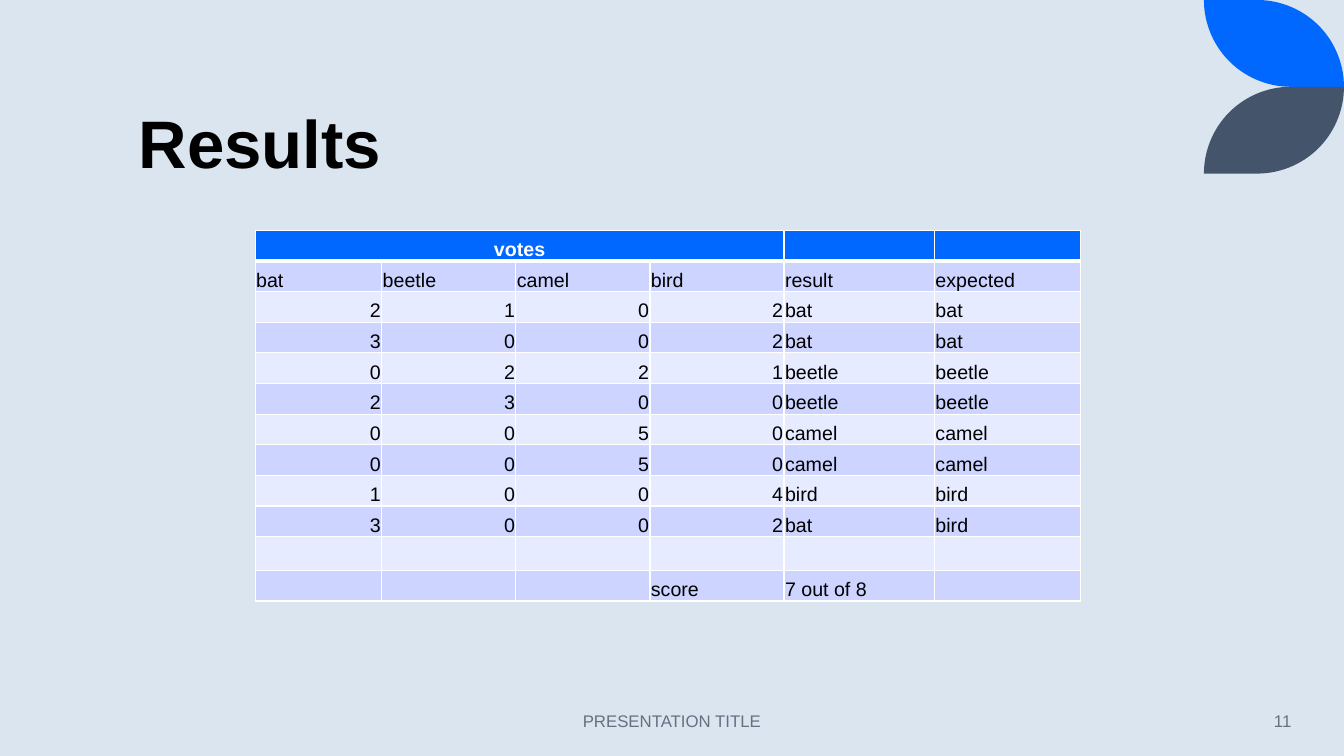
"""Build the Results slide with its table of votes."""
import math

import pptx
import pptx.dml.color
import pptx.enum.text
import pptx.oxml
import pptx.oxml.ns
import pptx.util

Pt = pptx.util.Pt
RGBColor = pptx.dml.color.RGBColor
Align = pptx.enum.text.PP_ALIGN
Anchor = pptx.enum.text.MSO_ANCHOR

BACKGROUND = RGBColor(0xDA, 0xE5, 0xEF)
BLUE = RGBColor(0x00, 0x68, 0xFF)
SLATE = RGBColor(0x44, 0x54, 0x6A)
GREY = RGBColor(0x63, 0x71, 0x83)
BLACK = RGBColor(0x00, 0x00, 0x00)
WHITE = RGBColor(0xFF, 0xFF, 0xFF)
DARK_BAND = RGBColor(0xCC, 0xD4, 0xFF)
LIGHT_BAND = RGBColor(0xE7, 0xEB, 0xFF)

COLUMN_WIDTHS = [90.4, 95.8, 95.8, 95.8, 107.5, 104.4]
ROW_HEIGHTS = [21.9] * 10 + [24.1, 21.9]
ROWS = [
    ["votes", "", "", "", "", ""],
    ["bat", "beetle", "camel", "bird", "result", "expected"],
    [2, 1, 0, 2, "bat", "bat"],
    [3, 0, 0, 2, "bat", "bat"],
    [0, 2, 2, 1, "beetle", "beetle"],
    [2, 3, 0, 0, "beetle", "beetle"],
    [0, 0, 5, 0, "camel", "camel"],
    [0, 0, 5, 0, "camel", "camel"],
    [1, 0, 0, 4, "bird", "bird"],
    [3, 0, 0, 2, "bat", "bird"],
    ["", "", "", "", "", ""],
    ["", "", "", "score", "7 out of 8", ""],
]


class SlideBuilder:
    """Hold the font and the current slide, and add elements to it."""

    def __init__(self, slide, font_name):
        self.slide = slide
        self.font_name = font_name

    def style(self, paragraph, size, color, bold=False, align=Align.LEFT):
        paragraph.alignment = align
        paragraph.font.name = self.font_name
        paragraph.font.size = Pt(size)
        paragraph.font.bold = bold
        paragraph.font.color.rgb = color

    def text(self, box, text, size, color, anchor, **paragraph_style):
        shape = self.slide.shapes.add_textbox(*map(Pt, box))
        frame = shape.text_frame
        frame.word_wrap = True
        frame.vertical_anchor = anchor
        paragraph = frame.paragraphs[0]
        paragraph.text = text
        self.style(paragraph, size, color, **paragraph_style)
        return paragraph

    def leaf(self, left, right, tip_y, height, color):
        radius = abs(height)
        angles = [math.radians(90 * step / 30) for step in range(31)]
        outer = [(right - radius + radius * math.sin(angle),
                  tip_y + height * (1 - math.cos(angle))) for angle in angles]
        inner = [(left + radius - radius * math.sin(angle),
                  tip_y + height * math.cos(angle)) for angle in angles]
        builder = self.slide.shapes.build_freeform(Pt(left), Pt(tip_y))
        builder.add_line_segments([(Pt(x), Pt(y)) for x, y in outer + inner])
        shape = builder.convert_to_shape()
        shape.shadow.inherit = False
        shape.fill.solid()
        shape.fill.fore_color.rgb = color
        shape.line.fill.background()

    def borders(self, cell, top, bottom):
        properties = cell._tc.get_or_add_tcPr()
        for side, width in (("L", 1), ("R", 1), ("T", top), ("B", bottom)):
            properties.append(pptx.oxml.parse_xml(
                f'<a:ln{side} {pptx.oxml.ns.nsdecls("a")} w="{Pt(width)}">'
                f'<a:solidFill><a:srgbClr val="{WHITE}"/></a:solidFill>'
                f'</a:ln{side}>'))

    def cell(self, cell, value, fill, color, bold, align):
        cell.margin_left = cell.margin_right = cell.margin_top = Pt(0.7)
        cell.margin_bottom = Pt(0)
        cell.vertical_anchor = Anchor.BOTTOM
        cell.fill.solid()
        cell.fill.fore_color.rgb = fill
        paragraph = cell.text_frame.paragraphs[0]
        paragraph.text = str(value)
        self.style(paragraph, 14, color, bold, align)

    def table(self, left, top, widths, heights, rows):
        table = self.slide.shapes.add_table(
            len(rows), len(widths), Pt(left), Pt(top),
            Pt(sum(widths)), Pt(sum(heights))).table
        table.first_row = table.horz_banding = False
        for column, width in zip(table.columns, widths):
            column.width = Pt(width)
        for row, height in zip(table.rows, heights):
            row.height = Pt(height)
        for row_index, values in enumerate(rows):
            header = row_index == 0
            band = DARK_BAND if row_index % 2 else LIGHT_BAND
            for column_index, value in enumerate(values):
                cell = table.cell(row_index, column_index)
                self.borders(cell, 3 if row_index == 1 else 1, 3 if header else 1)
                align = Align.RIGHT if isinstance(value, int) else Align.LEFT
                self.cell(cell, value, BLUE if header else band,
                          WHITE if header else BLACK, header,
                          Align.CENTER if header else align)
        table.cell(0, 0).merge(table.cell(0, 3))


def main():
    presentation = pptx.Presentation()
    presentation.slide_width = Pt(960)
    presentation.slide_height = Pt(540)
    slide = presentation.slides.add_slide(presentation.slide_layouts[6])
    slide.background.fill.solid()
    slide.background.fill.fore_color.rgb = BACKGROUND

    builder = SlideBuilder(slide, "Arial")
    builder.leaf(860, 960, 0, 62, BLUE)
    builder.leaf(860, 960, 124, -62, SLATE)
    title = builder.text((92, 30, 770, 104.5), "Results", 48, BLACK,
                         Anchor.BOTTOM, bold=True)
    title.line_spacing = 0.9
    for box, text, align in (
            ((318, 500.5, 324, 28.75), "PRESENTATION TITLE", Align.CENTER),
            ((799.5, 500.5, 130, 28.75), "11", Align.RIGHT)):
        footer = builder.text(box, text, 12, GREY, Anchor.MIDDLE, align=align)
        footer.space_after = Pt(6)
    builder.table(182.3, 164.5, COLUMN_WIDTHS, ROW_HEIGHTS, ROWS)
    presentation.save("out.pptx")


if __name__ == "__main__":
    main()
